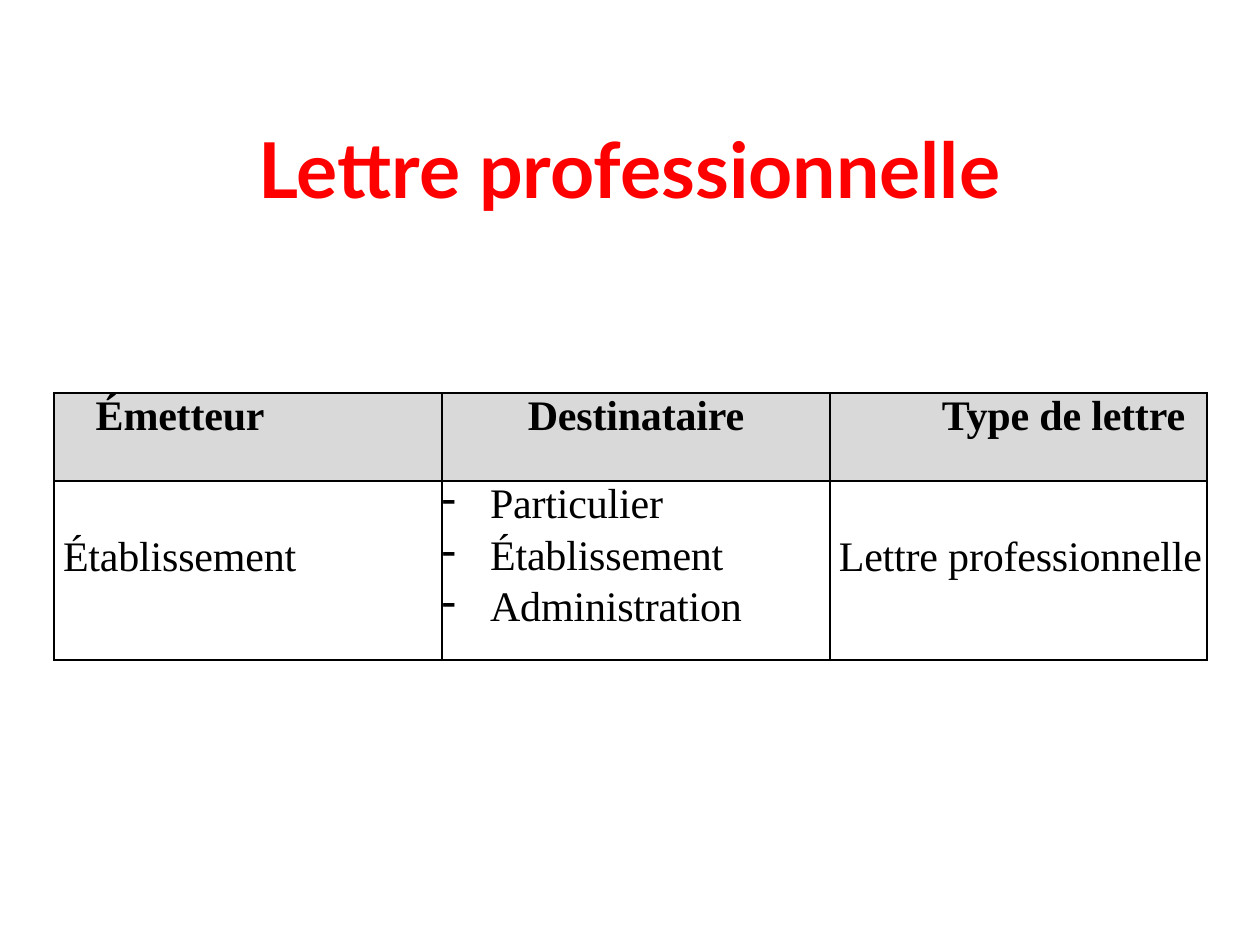
import lxml.etree
import pptx
import pptx.dml.color
import pptx.enum.text
import pptx.oxml.ns
import pptx.util
from pptx.util import Cm, Pt

RED = pptx.dml.color.RGBColor(0xFF, 0x00, 0x00)
BLACK = pptx.dml.color.RGBColor(0x00, 0x00, 0x00)
GREY = pptx.dml.color.RGBColor(0xD9, 0xD9, 0xD9)
ALIGN = pptx.enum.text.PP_ALIGN
ANCHOR = pptx.enum.text.MSO_ANCHOR
COLUMN_WIDTHS = (Cm(7.82), Cm(7.82), Cm(7.6))
ROW_HEIGHTS = (Cm(1.78), Cm(3.6))


def add_element(parent, tag, **attributes):
    return lxml.etree.SubElement(parent, pptx.oxml.ns.qn(tag), attributes)


def set_font(para, name, size, color, bold):
    font = para.font
    font.name, font.size, font.bold = name, size, bold
    font.color.rgb = color


def add_title(page, left, top, width, height):
    box = page.shapes.add_textbox(left, top, width, height)
    frame = box.text_frame
    frame.word_wrap = True
    frame.vertical_anchor = ANCHOR.MIDDLE
    para = frame.paragraphs[0]
    para.text = "Lettre professionnelle"
    para.alignment = ALIGN.CENTER
    para.line_spacing = Pt(45)
    para.space_after = Pt(8)
    set_font(para, "Lato", Pt(44), RED, True)


def add_borders(cell):
    properties = cell._tc.get_or_add_tcPr()
    for side in ("a:lnL", "a:lnR", "a:lnT", "a:lnB"):
        line = add_element(properties, side, w=str(Pt(1)))
        fill = add_element(line, "a:solidFill")
        add_element(fill, "a:srgbClr", val=str(BLACK))


def add_dash(para):
    """Give the paragraph a dash bullet with a hanging indent."""
    properties = para._p.get_or_add_pPr()
    indent = Cm(0.97)
    properties.set("marL", str(indent))
    properties.set("indent", str(-indent))
    add_element(properties, "a:buChar", char="-")


def fill_cell(cell, lines, left=0, top=0, align=ALIGN.LEFT, header=False, dashes=False):
    add_borders(cell)
    if header:
        cell.fill.solid()
        cell.fill.fore_color.rgb = GREY
    else:
        cell.fill.background()
    cell.margin_left, cell.margin_top = left, top
    cell.margin_right = cell.margin_bottom = 0
    cell.text = "\n".join(lines)
    for para in cell.text_frame.paragraphs:
        para.alignment = align
        para.space_before = Pt(3)
        if dashes:
            add_dash(para)
        set_font(para, "Times New Roman", Pt(24), BLACK, header)
        for span in para.runs:
            span._r.get_or_add_rPr().set("spc", "-10")


def add_letter_table(page, left, top):
    frame = page.shapes.add_table(
        len(ROW_HEIGHTS), len(COLUMN_WIDTHS), left, top, sum(COLUMN_WIDTHS), sum(ROW_HEIGHTS))
    table = frame.table
    table.first_row = table.horz_banding = False
    for column, width in zip(table.columns, COLUMN_WIDTHS):
        column.width = width
    for row, height in zip(table.rows, ROW_HEIGHTS):
        row.height = height

    fill_cell(table.cell(0, 0), ["Émetteur"], left=Cm(0.84), header=True)
    fill_cell(table.cell(0, 1), ["Destinataire"], align=ALIGN.CENTER, header=True)
    fill_cell(table.cell(0, 2), ["Type de lettre"], left=Cm(2.26), header=True)

    second_line = Cm(1.06)
    fill_cell(table.cell(1, 0), ["Établissement"], left=Cm(0.18), top=second_line)
    fill_cell(table.cell(1, 1), ["Particulier", "Établissement", "Administration"], dashes=True)
    fill_cell(table.cell(1, 2), ["Lettre professionnelle"], left=Cm(0.18), top=second_line)


def main():
    deck = pptx.Presentation()
    deck.slide_width, deck.slide_height = Cm(25.4), Cm(19.05)
    page = deck.slides.add_slide(deck.slide_layouts[6])
    add_title(page, Cm(1.27), Cm(1.93), Cm(22.86), Cm(3.18))
    add_letter_table(page, Cm(1.09), Cm(7.92))
    deck.save("out.pptx")


if __name__ == "__main__":
    main()
